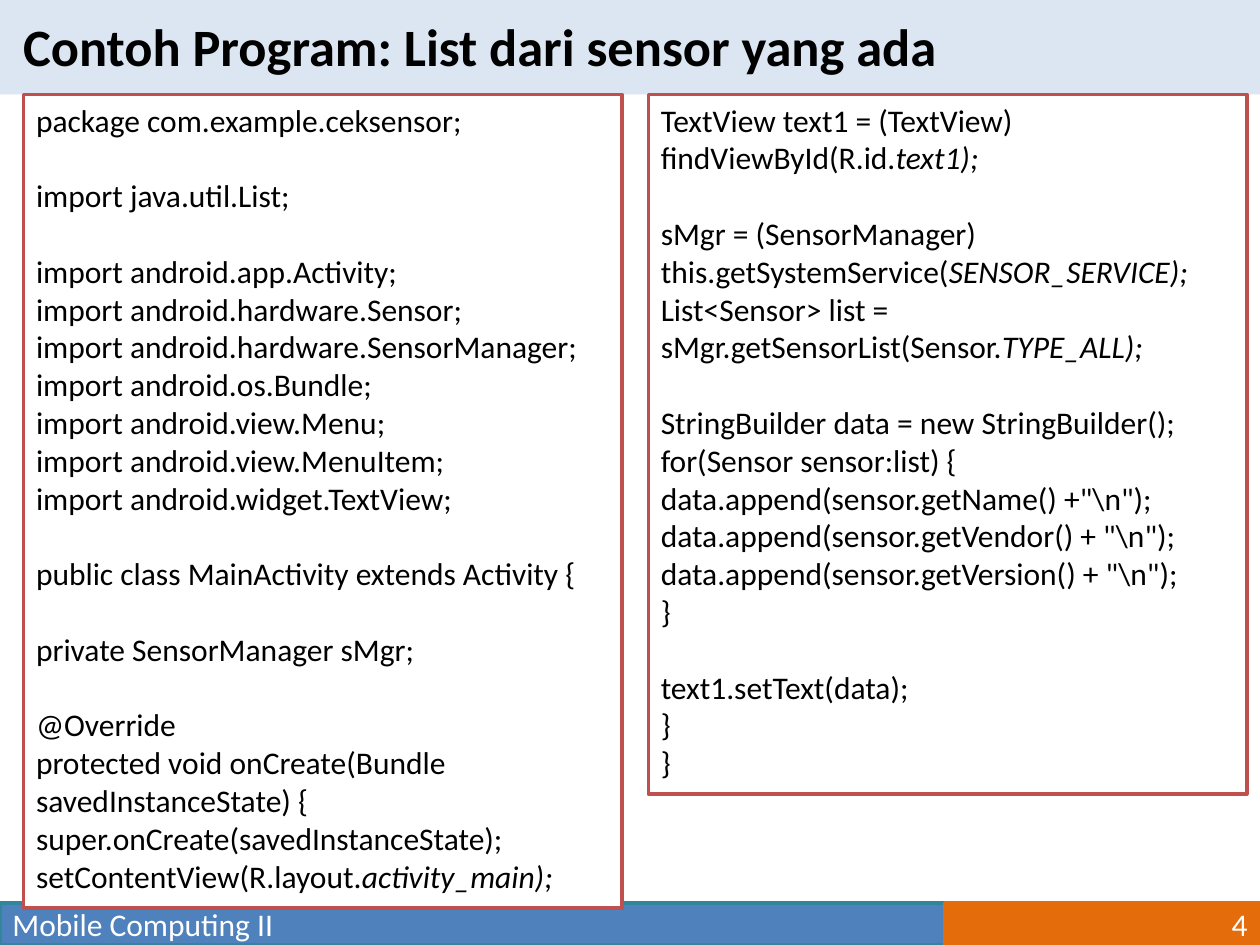
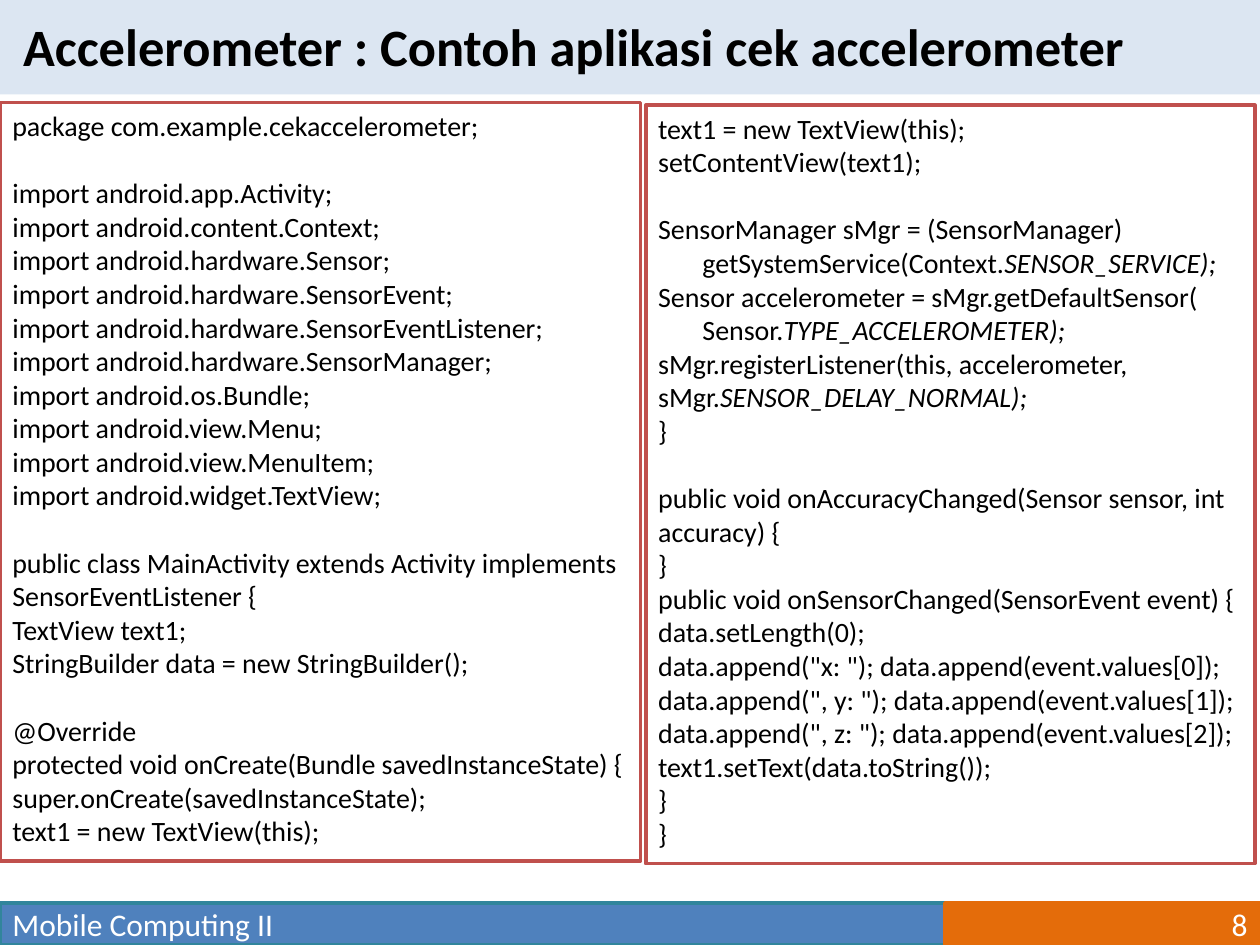
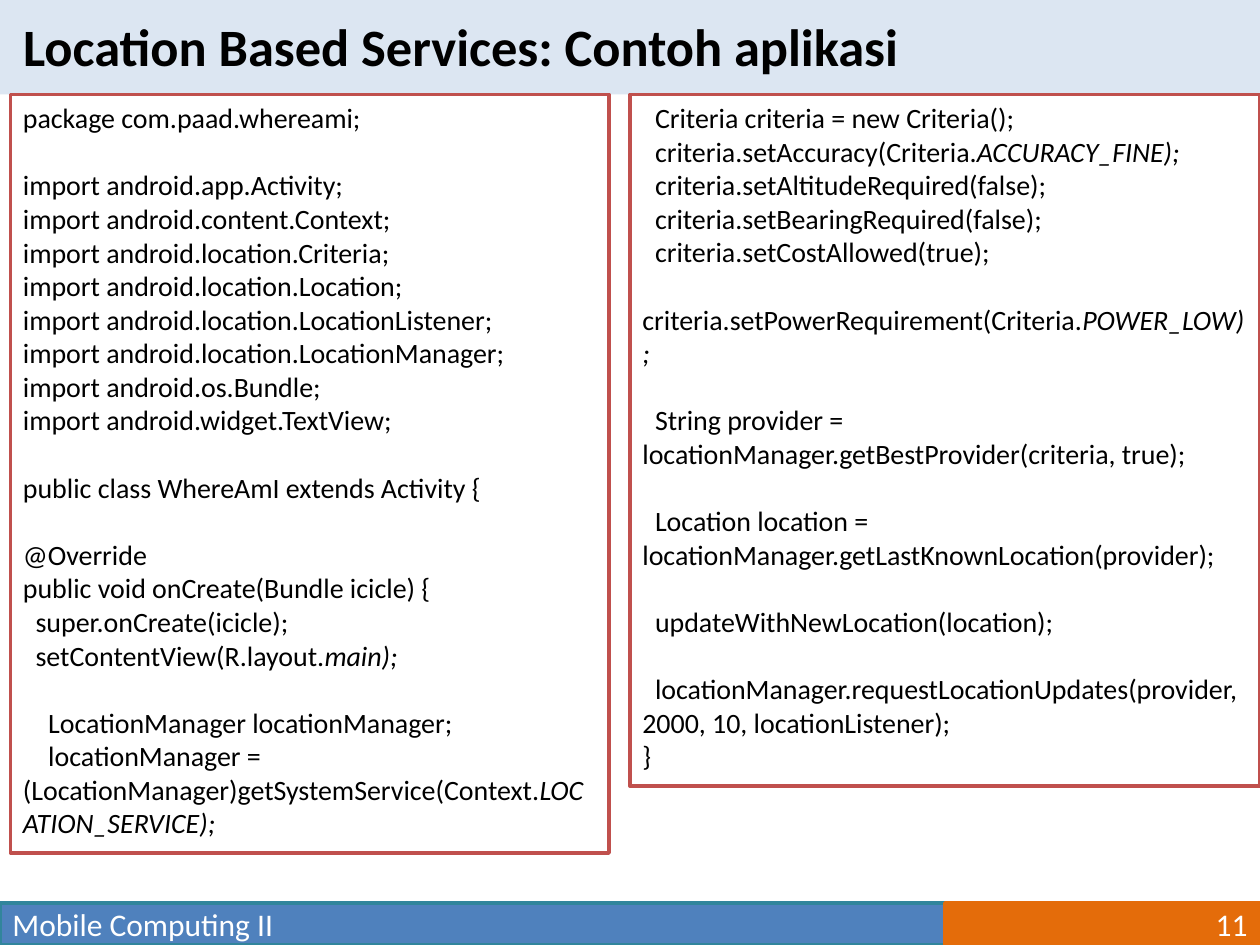
from dataclasses import dataclass

from pptx import Presentation
from pptx import util as u
from pptx.dml.color import RGBColor
from pptx.enum import shapes, text

EMU_PER_PX = 9525  # 96 px to the inch


@dataclass(frozen=True)
class Theme:
    font: str = "Calibri"
    ink: str = "000000"
    paper: str = "FFFFFF"
    title_band: str = "DCE6F2"
    course_fill: str = "4F81BD"
    course_line: str = "31859C"
    number_fill: str = "E46C0A"
    code_line: str = "C0504D"
    title_size: int = 30
    footer_size: int = 18
    line_width: int = 2
    line_pitch: float = 1.2    # line height per point of type
    space_width: float = 0.226  # width of a space per point of type


@dataclass(frozen=True)
class Box:
    left: int
    top: int
    width: int
    height: int


@dataclass(frozen=True)
class Listing:
    """Code where blank lines are gaps, leading spaces indents, *...* italics."""
    box: Box
    code: str


@dataclass(frozen=True)
class CodeSlide:
    title: str
    title_width: int
    number: int
    size: int
    listings: tuple[Listing, ...]


THEME = Theme()
PAGE = Box(0, 0, 960, 720)
TITLE_BAND = Box(0, 0, 960, 72)
COURSE_BAND = Box(0, 688, 720, 32)
NUMBER_BAND = Box(720, 688, 240, 32)
COURSE = "Mobile Computing II"

SLIDES = (
    CodeSlide("Contoh Program: List dari sensor yang ada", 722, 4, 18, (
        Listing(Box(18, 72, 456, 620), r"""
package com.example.ceksensor;

import java.util.List;

import android.app.Activity;
import android.hardware.Sensor;
import android.hardware.SensorManager;
import android.os.Bundle;
import android.view.Menu;
import android.view.MenuItem;
import android.widget.TextView;

public class MainActivity extends Activity {

private SensorManager sMgr;

@Override
protected void onCreate(Bundle savedInstanceState) {
super.onCreate(savedInstanceState);
setContentView(R.layout.*activity_main);*
"""),
        Listing(Box(494, 72, 456, 533), r"""
TextView text1 = (TextView) findViewById(R.id.*text1);*

sMgr = (SensorManager) this.getSystemService(*SENSOR_SERVICE);*
List<Sensor> list = sMgr.getSensorList(Sensor.*TYPE_ALL);*

StringBuilder data = new StringBuilder();
for(Sensor sensor:list) {
data.append(sensor.getName() +"\n");
data.append(sensor.getVendor() + "\n");
data.append(sensor.getVersion() + "\n");
}

text1.setText(data);
}
}
"""),
    )),
    CodeSlide("Accelerometer : Contoh aplikasi cek accelerometer", 866, 8, 16, (
        Listing(Box(0, 78, 488, 578), r"""
package com.example.cekaccelerometer;

import android.app.Activity;
import android.content.Context;
import android.hardware.Sensor;
import android.hardware.SensorEvent;
import android.hardware.SensorEventListener;
import android.hardware.SensorManager;
import android.os.Bundle;
import android.view.Menu;
import android.view.MenuItem;
import android.widget.TextView;

public class MainActivity extends Activity implements SensorEventListener {
TextView text1;
StringBuilder data = new StringBuilder();

@Override
protected void onCreate(Bundle savedInstanceState) {
super.onCreate(savedInstanceState);
text1 = new TextView(this);
"""),
        Listing(Box(492, 80, 464, 578), r"""
text1 = new TextView(this);
setContentView(text1);

SensorManager sMgr = (SensorManager)
       getSystemService(Context.*SENSOR_SERVICE);*
Sensor accelerometer = sMgr.getDefaultSensor(
       Sensor.*TYPE_ACCELEROMETER);*
sMgr.registerListener(this, accelerometer, sMgr.*SENSOR_DELAY_NORMAL);*
}

public void onAccuracyChanged(Sensor sensor, int accuracy) {
}
public void onSensorChanged(SensorEvent event) {
data.setLength(0);
data.append("x: "); data.append(event.values[0]);
data.append(", y: "); data.append(event.values[1]);
data.append(", z: "); data.append(event.values[2]);
text1.setText(data.toString());
}
}
"""),
    )),
    CodeSlide("Location Based Services: Contoh aplikasi", 694, 11, 16, (
        Listing(Box(8, 72, 456, 578), r"""
package com.paad.whereami;

import android.app.Activity;
import android.content.Context;
import android.location.Criteria;
import android.location.Location;
import android.location.LocationListener;
import android.location.LocationManager;
import android.os.Bundle;
import android.widget.TextView;

public class WhereAmI extends Activity {

@Override
public void onCreate(Bundle icicle) {
  super.onCreate(icicle);
  setContentView(R.layout.*main);*

    LocationManager locationManager;
    locationManager = (LocationManager)getSystemService(Context.*LOCATION_SERVICE);*
"""),
        Listing(Box(480, 72, 480, 527), r"""
  Criteria criteria = new Criteria();
  criteria.setAccuracy(Criteria.*ACCURACY_FINE);*
  criteria.setAltitudeRequired(false);
  criteria.setBearingRequired(false);
  criteria.setCostAllowed(true);

criteria.setPowerRequirement(Criteria.*POWER_LOW);*

  String provider = locationManager.getBestProvider(criteria, true);

  Location location = locationManager.getLastKnownLocation(provider);

  updateWithNewLocation(location);

  locationManager.requestLocationUpdates(provider, 2000, 10, locationListener);
}
"""),
    )),
)


def px(length: int) -> u.Emu:
    return u.Emu(length * EMU_PER_PX)


def place(shape, box: Box) -> None:
    shape.left, shape.top = px(box.left), px(box.top)
    shape.width, shape.height = px(box.width), px(box.height)


def style_runs(paragraph, size: int, color: str) -> None:
    for run in paragraph.runs:
        run.font.name = THEME.font
        run.font.size = u.Pt(size)
        run.font.color.rgb = RGBColor.from_string(color)


def add_panel(slide, box: Box, fill: str, line: str | None = None):
    panel = slide.shapes.add_shape(
        shapes.MSO_SHAPE.RECTANGLE, px(box.left), px(box.top), px(box.width), px(box.height))
    panel.shadow.inherit = False
    panel.fill.solid()
    panel.fill.fore_color.rgb = RGBColor.from_string(fill)
    if line is None:
        panel.line.fill.background()
    else:
        panel.line.color.rgb = RGBColor.from_string(line)
        panel.line.width = u.Pt(THEME.line_width)
    return panel


def add_title(slide, title: str, width: int) -> None:
    heading = slide.shapes.title
    place(heading, Box(8, 6, width, 59))
    frame = heading.text_frame
    frame.text = title
    frame.word_wrap = False
    frame.auto_size = text.MSO_AUTO_SIZE.SHAPE_TO_FIT_TEXT
    frame.vertical_anchor = text.MSO_ANCHOR.TOP
    line = frame.paragraphs[0]
    line.alignment = text.PP_ALIGN.LEFT
    style_runs(line, THEME.title_size, THEME.ink)
    line.runs[0].font.bold = True
    # The band goes behind the title
    band = add_panel(slide, TITLE_BAND, THEME.title_band)
    heading.element.addprevious(band.element)


def add_footer(slide, box: Box, label: str, fill: str, line: str, align) -> None:
    frame = add_panel(slide, box, fill, line).text_frame
    frame.text = label
    frame.vertical_anchor = text.MSO_ANCHOR.MIDDLE
    frame.paragraphs[0].alignment = align
    style_runs(frame.paragraphs[0], THEME.footer_size, THEME.paper)


def add_listing(slide, listing: Listing, size: int) -> None:
    frame = add_panel(slide, listing.box, THEME.paper, THEME.code_line).text_frame
    frame.word_wrap = True
    frame.auto_size = text.MSO_AUTO_SIZE.SHAPE_TO_FIT_TEXT
    frame.vertical_anchor = text.MSO_ANCHOR.TOP
    statement = frame.paragraphs[0]
    gap = False
    for row, source in enumerate(listing.code.strip("\n").split("\n")):
        if not source:
            gap = True
            continue
        if row:
            statement = frame.add_paragraph()
        code = source.lstrip()
        for part, words in enumerate(code.split("*")):
            if words:
                run = statement.add_run()
                run.text = words
                run.font.italic = part % 2 == 1
        statement.alignment = text.PP_ALIGN.LEFT
        style_runs(statement, size, THEME.ink)
        if gap:
            statement.space_before = u.Pt(size * THEME.line_pitch)
            gap = False
        # Only the first line is indented; wrapped lines return to the margin
        spaces = len(source) - len(code)
        if spaces:
            properties = statement._p.get_or_add_pPr()
            properties.set("marL", "0")
            properties.set("indent", str(int(u.Pt(spaces * size * THEME.space_width))))


def add_code_slide(deck, content: CodeSlide) -> None:
    slide = deck.slides.add_slide(deck.slide_layouts.get_by_name("Title Only"))
    add_title(slide, content.title, content.title_width)
    add_footer(slide, COURSE_BAND, COURSE, THEME.course_fill, THEME.course_line,
               text.PP_ALIGN.LEFT)
    add_footer(slide, NUMBER_BAND, str(content.number), THEME.number_fill, THEME.number_fill,
               text.PP_ALIGN.RIGHT)
    for listing in content.listings:
        add_listing(slide, listing, content.size)


def main() -> None:
    deck = Presentation()
    deck.slide_width, deck.slide_height = px(PAGE.width), px(PAGE.height)
    for content in SLIDES:
        add_code_slide(deck, content)
    deck.save("out.pptx")


if __name__ == "__main__":
    main()
